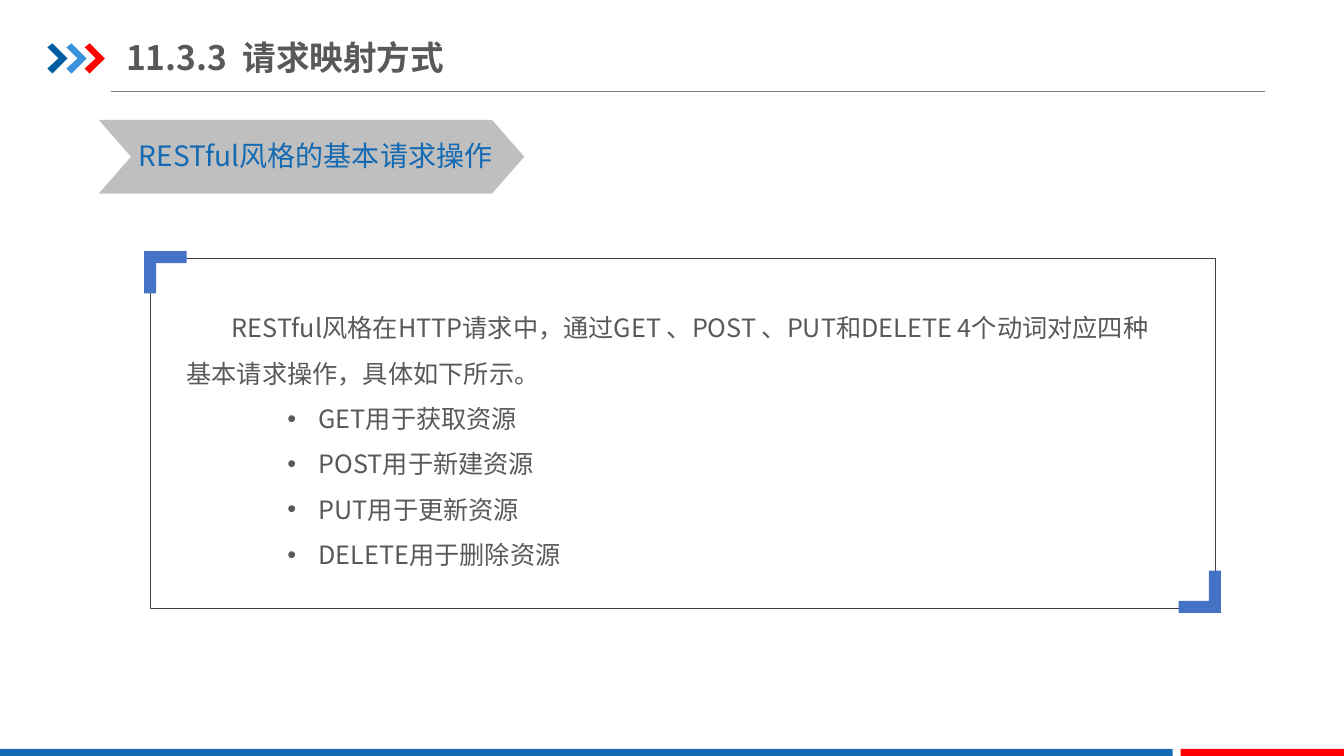
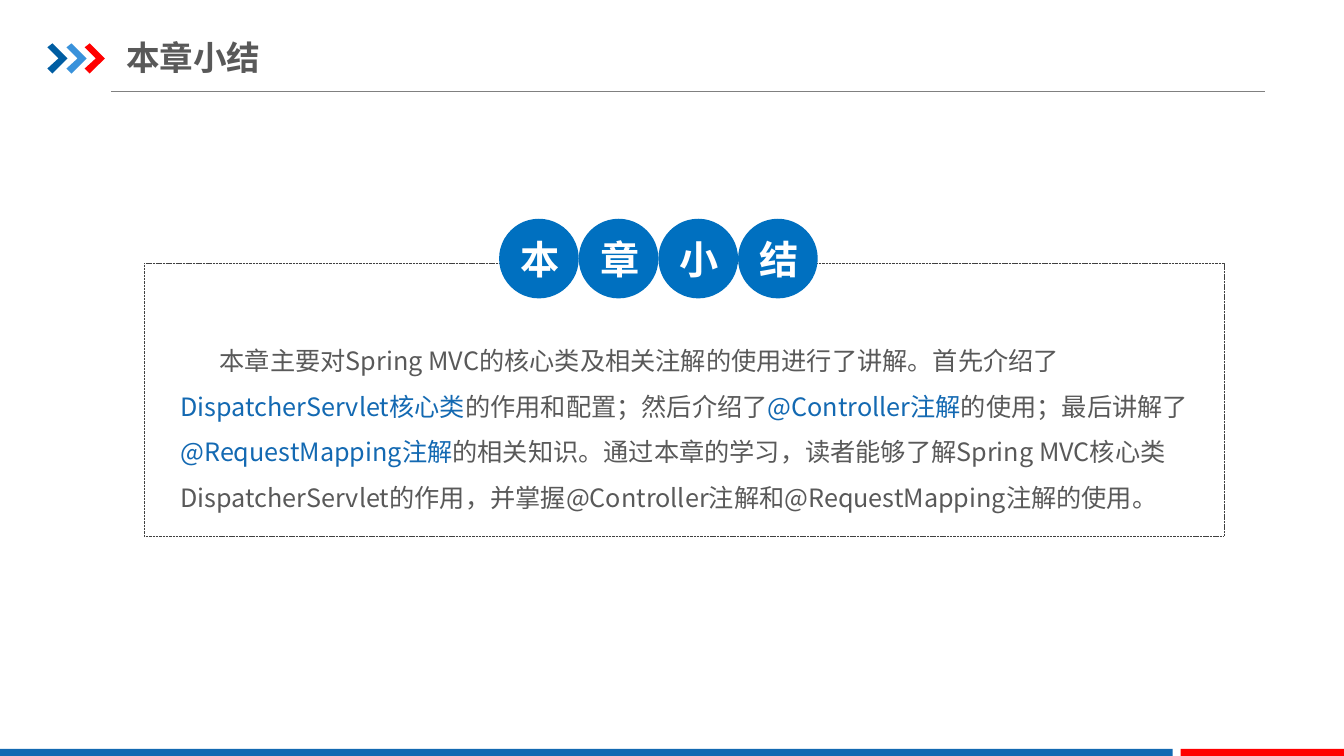
from dataclasses import dataclass

from lxml import etree
from pptx import Presentation
from pptx import util as u
from pptx.dml.color import RGBColor
from pptx.enum import dml, lang, shapes, text
from pptx.oxml import ns


@dataclass(frozen=True)
class Theme:
    font: str = "Noto Sans CJK SC"
    ink: str = "595959"
    accent: str = "1369B2"
    red: str = "FF0000"
    navy: str = "005DA2"
    sky: str = "3992DB"
    rule: str = "808080"
    outline: str = "404040"
    banner: str = "BFBFBF"
    corner: str = "4472C4"
    badge: str = "0070C0"
    white: str = "FFFFFF"
    title_size: int = 24
    banner_size: int = 20
    body_size: int = 18
    badge_size: int = 28


@dataclass(frozen=True)
class Box:
    left: float
    top: float
    width: float
    height: float

    def lengths(self) -> tuple:
        return tuple(u.Inches(v) for v in (self.left, self.top, self.width, self.height))


@dataclass(frozen=True)
class Piece:
    wording: str
    color: str


@dataclass(frozen=True)
class Mark:
    left: float
    color: str


@dataclass(frozen=True)
class Corner:
    left: float
    top: float
    rotation: int


THEME = Theme()
RECT = shapes.MSO_SHAPE.RECTANGLE

HEADER_MARKS = [Mark(0.47, THEME.navy), Mark(0.66, THEME.sky), Mark(0.84, THEME.red)]
MARK_OUTLINE = [(0, 0.04), (0.05, 0), (0.2, 0.15), (0.05, 0.3), (0, 0.25), (0.11, 0.15)]
CORNER_OUTLINE = [(0, 0), (0.42, 0), (0.42, 0.12), (0.12, 0.12), (0.12, 0.42), (0, 0.42)]
CORNERS = [Corner(1.43, 2.49, 0), Corner(11.69, 5.66, 180)]

REST_INTRO = ("RESTful风格在HTTP请求中，通过GET 、POST 、PUT和DELETE 4个动词"
              "对应四种基本请求操作，具体如下所示。")
REST_VERBS = ["GET用于获取资源", "POST用于新建资源", "PUT用于更新资源", "DELETE用于删除资源"]
SUMMARY = [
    Piece("本章主要对Spring MVC的核心类及相关注解的使用进行了讲解。首先介绍了", THEME.ink),
    Piece("DispatcherServlet核心类", THEME.accent),
    Piece("的作用和配置；然后介绍了", THEME.ink),
    Piece("@Controller注解", THEME.accent),
    Piece("的使用；最后讲解了", THEME.ink),
    Piece("@RequestMapping注解", THEME.accent),
    Piece("的相关知识。通过本章的学习，读者能够了解Spring MVC核心类DispatcherServlet的作用，"
          "并掌握@Controller注解和@RequestMapping注解的使用。", THEME.ink),
]


# Text helpers
def format_run(run, size: int, color: str, bold: bool = False) -> None:
    run.font.size = u.Pt(size)
    run.font.bold = bold
    run.font.color.rgb = RGBColor.from_string(color)
    run.font.name = THEME.font
    run.font.language_id = lang.MSO_LANGUAGE_ID.SIMPLIFIED_CHINESE
    east_asian = etree.SubElement(run.font._element, ns.qn("a:ea"))
    east_asian.set("typeface", THEME.font)


def set_margins(frame, side: float, edge: float) -> None:
    frame.margin_left = frame.margin_right = u.Inches(side)
    frame.margin_top = frame.margin_bottom = u.Inches(edge)


def format_body_line(paragraph, left: float, indent: float, bullet: str = "") -> None:
    paragraph.line_spacing = 1.5
    paragraph.space_before = u.Pt(0)
    props = paragraph._p.get_or_add_pPr()
    props.set("marL", str(u.Inches(left)))
    props.set("indent", str(u.Inches(indent)))
    props.set("hangingPunct", "1")
    if bullet:
        etree.SubElement(props, ns.qn("a:buFont")).set("typeface", "Arial")
        etree.SubElement(props, ns.qn("a:buChar")).set("char", bullet)
    else:
        etree.SubElement(props, ns.qn("a:buNone"))


def place(placeholder, box: Box) -> None:
    placeholder.left, placeholder.top, placeholder.width, placeholder.height = box.lengths()


def set_title(slide, wording: str, width: float) -> None:
    title = slide.shapes.title
    place(title, Box(1.25, 0.29, width, 0.55))
    frame = title.text_frame
    frame.text = wording
    frame.word_wrap = True
    frame.auto_size = text.MSO_AUTO_SIZE.NONE
    frame.vertical_anchor = text.MSO_ANCHOR.MIDDLE
    set_margins(frame, 0, 0.07)
    frame.paragraphs[0].alignment = text.PP_ALIGN.LEFT
    format_run(frame.paragraphs[0].runs[0], THEME.title_size, THEME.ink, bold=True)


def body_frame(slide, box: Box, side: float, edge: float):
    body = slide.placeholders[1]
    place(body, box)
    frame = body.text_frame
    frame.word_wrap = True
    frame.auto_size = text.MSO_AUTO_SIZE.NONE
    frame.vertical_anchor = text.MSO_ANCHOR.TOP
    set_margins(frame, side, edge)
    return frame


# Shape helpers
def paint(shape, color: str):
    shape.shadow.inherit = False
    shape.fill.solid()
    shape.fill.fore_color.rgb = RGBColor.from_string(color)
    shape.line.fill.background()
    return shape


def add_filled(slide, preset, box: Box, color: str):
    return paint(slide.shapes.add_shape(preset, *box.lengths()), color)


def add_outline(slide, points: list, left: float, top: float, color: str):
    corners = [(u.Inches(left + x), u.Inches(top + y)) for x, y in points]
    builder = slide.shapes.build_freeform(*corners[0])
    builder.add_line_segments(corners[1:], close=True)
    return paint(builder.convert_to_shape(), color)


def add_frame(slide, box: Box, dashed: bool = False) -> None:
    frame = slide.shapes.add_shape(RECT, *box.lengths())
    frame.shadow.inherit = False
    frame.fill.background()
    frame.line.color.rgb = RGBColor.from_string(THEME.outline)
    frame.line.width = u.Pt(0.25)
    if dashed:
        frame.line.dash_style = dml.MSO_LINE.SQUARE_DOT


# Shared header and footer, kept on the layout
def furnish_layout(layout, slide) -> None:
    for placeholder in list(layout.placeholders):
        if placeholder.placeholder_format.idx > 1:
            layout.shapes.element.remove(placeholder.element)

    rule = slide.shapes.add_connector(
        shapes.MSO_CONNECTOR.STRAIGHT,
        u.Inches(1.1), u.Inches(0.91), u.Inches(12.55), u.Inches(0.91))
    rule.line.color.rgb = RGBColor.from_string(THEME.rule)
    rule.line.width = u.Pt(0.5)
    etree.SubElement(rule.element.spPr, ns.qn("a:effectLst"))

    furniture = [rule]
    for mark in HEADER_MARKS:
        furniture.append(add_outline(slide, MARK_OUTLINE, mark.left, 0.43, mark.color))
    furniture.append(add_filled(slide, RECT, Box(0, 7.43, 11.63, 0.09), THEME.accent))
    furniture.append(add_filled(slide, RECT, Box(11.71, 7.43, 1.63, 0.09), THEME.red))
    for part in furniture:
        layout.shapes.element.append(part.element)


# Slide 1: REST request operations
def build_requests(slide) -> None:
    set_title(slide, "11.3.3  请求映射方式", 3.62)

    banner = add_filled(slide, shapes.MSO_SHAPE.CHEVRON, Box(0.98, 1.19, 4.22, 0.73), THEME.banner)
    banner.adjustments[0] = 0.438
    label = slide.shapes.add_textbox(*Box(1.28, 1.33, 3.78, 0.44).lengths()).text_frame
    label.word_wrap = True
    label.margin_right = 0
    label.text = "RESTful风格的基本请求操作"
    format_run(label.paragraphs[0].runs[0], THEME.banner_size, THEME.accent)

    frame = body_frame(slide, Box(1.75, 2.9, 9.94, 2.86), 0.1, 0.05)
    frame.text = "\n".join([REST_INTRO, *REST_VERBS])
    intro, *verbs = frame.paragraphs
    format_body_line(intro, 0, 0.45)
    for verb in verbs:
        verb.level = 1
        format_body_line(verb, 1.31, -0.31, "•")
    for paragraph in frame.paragraphs:
        format_run(paragraph.runs[0], THEME.body_size, THEME.ink)

    add_frame(slide, Box(1.49, 2.56, 10.56, 3.47))
    for corner in CORNERS:
        bracket = add_outline(slide, CORNER_OUTLINE, corner.left, corner.top, THEME.corner)
        bracket.rotation = corner.rotation


# Slide 2: chapter summary
def build_summary(slide) -> None:
    heading = "本章小结"
    set_title(slide, heading, 4.26)
    add_frame(slide, Box(1.43, 2.61, 10.71, 2.71), dashed=True)

    size = 0.79
    for position, character in enumerate(heading):
        badge = add_filled(slide, shapes.MSO_SHAPE.OVAL,
                           Box(4.95 + position * size, 2.17, size, size), THEME.badge)
        frame = badge.text_frame
        frame.text = character
        frame.vertical_anchor = text.MSO_ANCHOR.MIDDLE
        frame.paragraphs[0].alignment = text.PP_ALIGN.CENTER
        format_run(frame.paragraphs[0].runs[0], THEME.badge_size, THEME.white, bold=True)

    summary = body_frame(slide, Box(1.66, 3.21, 10.39, 1.9), 0.13, 0.07).paragraphs[0]
    format_body_line(summary, 0, 0.39)
    for piece in SUMMARY:
        run = summary.add_run()
        run.text = piece.wording
        format_run(run, THEME.body_size, piece.color)


def main() -> None:
    deck = Presentation()
    deck.slide_width, deck.slide_height = u.Inches(13.33), u.Inches(7.5)
    layout = deck.slide_layouts[1]
    requests, summary = (deck.slides.add_slide(layout) for _ in range(2))
    furnish_layout(layout, requests)
    build_requests(requests)
    build_summary(summary)
    deck.save("out.pptx")


if __name__ == "__main__":
    main()
